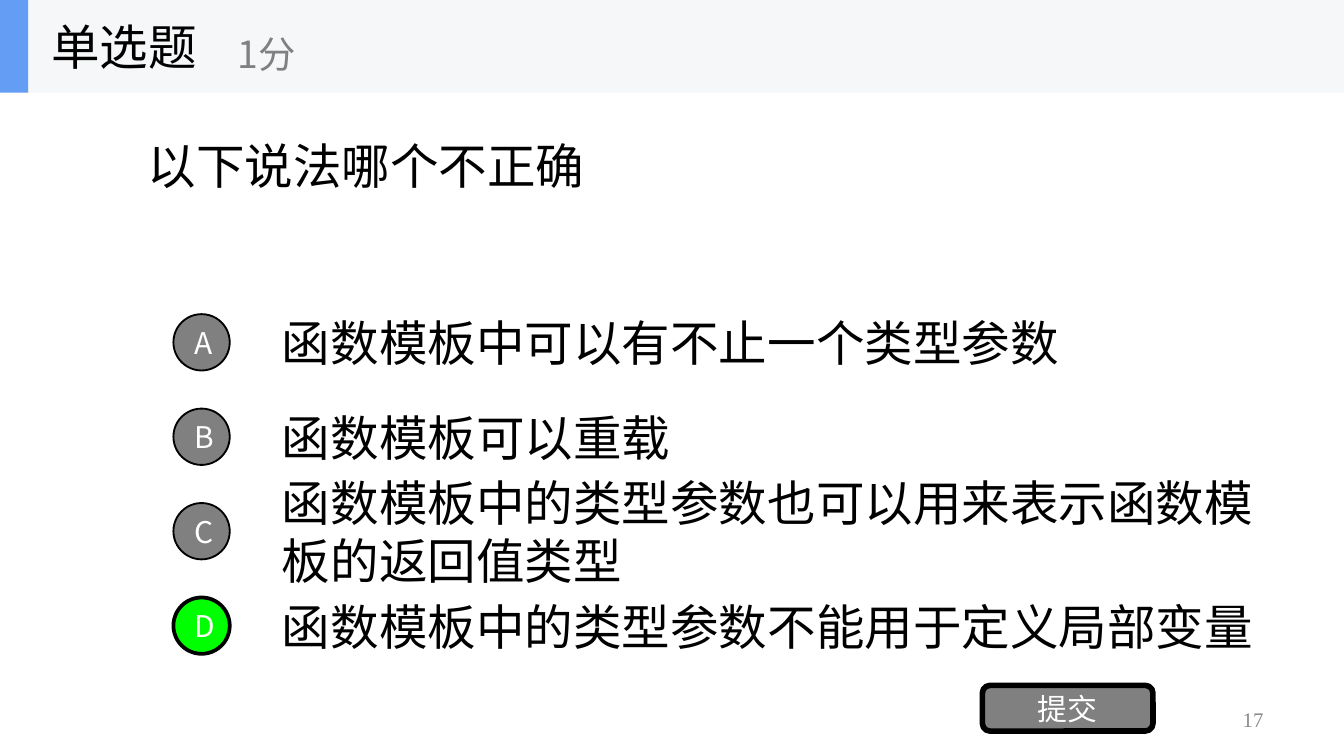
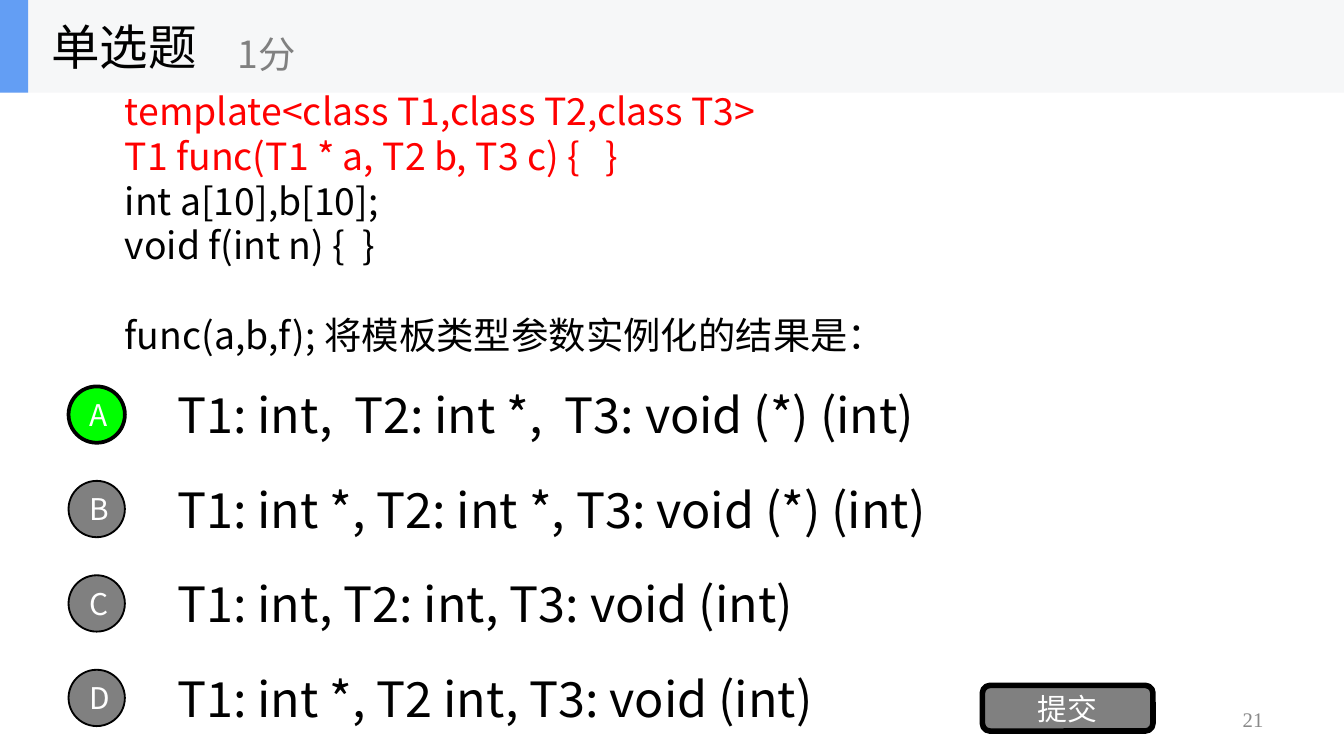
from lxml.etree import SubElement
from pptx import Presentation
from pptx.dml.color import RGBColor
from pptx.enum.shapes import MSO_SHAPE
from pptx.enum.text import MSO_ANCHOR, MSO_AUTO_SIZE, PP_ALIGN
from pptx.oxml.ns import qn
from pptx.util import Pt

BLACK, WHITE, GRAY, RED, GREEN = "000000", "FFFFFF", "808080", "FF0000", "00FF00"
BAND, ACCENT, NUMBER = "F6F7F8", "639EF4", "898989"
SANS, SERIF = "Noto Sans CJK SC", "Times New Roman"

QUESTIONS = [
    {
        "number": "17",
        "box": (72, 25.2, 576, 126.7),
        "size": 26,
        "lines": [("以下说法哪个不正确", BLACK, 0)],
        "bottom_inset": 3.6,
        "options": [
            ("函数模板中可以有不止一个类型参数", 504),
            ("函数模板可以重载", 504),
            ("函数模板中的类型参数也可以用来表示函数模板的返回值类型", 540),
            ("函数模板中的类型参数不能用于定义局部变量", 551),
        ],
        "options_at": (92.9, 164.3),
        "answer": "D",
    },
    {
        "number": "21",
        "box": (59.8, 79.9, 576, 126.7),
        "size": 20,
        "lines": [
            ("template<class T1,class T2,class T3>", RED, 0),
            ("T1 func(T1 * a, T2 b, T3 c) {   }", RED, 0),
            ("int a[10],b[10];", BLACK, 0),
            ("void f(int n) {  }", BLACK, 0),
            ("func(a,b,f); 将模板类型参数实例化的结果是：", BLACK, 24),
        ],
        "bottom_inset": 51.6,
        "options": [
            ("T1: int,  T2: int *,  T3: void (*) (int)", 504),
            ("T1: int *, T2: int *, T3: void (*) (int)", 504),
            ("T1: int, T2: int, T3: void (int)", 504),
            ("T1: int *, T2 int, T3: void (int)", 504),
        ],
        "options_at": (36.7, 203),
        "answer": "A",
    },
]
OPTION_PITCH, OPTION_H, OPTION_INDENT, CIRCLE = 50.6, 38.2, 51.1, 30.2
BAND_H = 49.7


def rgb(color):
    return RGBColor.from_string(color)


def set_attrs(target, values):
    for name, value in values.items():
        setattr(target, name, value)


def write(sp, lines, size, align=PP_ALIGN.LEFT, font=SANS, bottom=3.6, spacing=1.0):
    tf = sp.text_frame
    set_attrs(tf, {
        "word_wrap": True, "auto_size": MSO_AUTO_SIZE.NONE,
        "vertical_anchor": MSO_ANCHOR.MIDDLE,
        "margin_left": Pt(7.2), "margin_right": Pt(7.2),
        "margin_top": Pt(3.6), "margin_bottom": Pt(bottom),
    })
    for i, (text, color, before) in enumerate(lines):
        p = tf.add_paragraph() if i else tf.paragraphs[0]
        set_attrs(p, {"alignment": align, "line_spacing": spacing})
        if before:
            p.space_before = Pt(before)
        r = p.add_run()
        r.text = text
        set_attrs(r.font, {"name": font, "size": Pt(size)})
        r.font.color.rgb = rgb(color)
        SubElement(r.font._element, qn("a:ea"), typeface=font)


def add_text(s, box, lines, size, **fmt):
    sp = s.shapes.add_textbox(*map(Pt, box))
    write(sp, lines, size, **fmt)


def add_shape(s, kind, box, fill, line=0, text="", size=16):
    sp = s.shapes.add_shape(kind, *map(Pt, box))
    sp.shadow.inherit = False
    sp.fill.solid()
    sp.fill.fore_color.rgb = rgb(fill)
    if line:
        sp.line.color.rgb = rgb(BLACK)
        sp.line.width = Pt(line)
    else:
        sp.line.fill.background()
    if text:
        write(sp, [(text, WHITE, 0)], size, PP_ALIGN.CENTER)
    return sp


def add_header(s):
    title = s.shapes.title
    for width, color in ((720, BAND), (15.1, ACCENT)):
        sp = add_shape(s, MSO_SHAPE.RECTANGLE, (0, 0, width, BAND_H), color)
        title.element.addprevious(sp.element)
    set_attrs(title, {"left": Pt(20.2), "top": Pt(0), "width": Pt(149.8), "height": Pt(BAND_H)})
    write(title, [("单选题", BLACK, 0)], 26)
    add_text(s, (120.2, 8.6, 180, 40.3), [("1分", GRAY, 0)], 20)


def add_options(s, question):
    left, top = question["options_at"]
    for i, (letter, (text, width)) in enumerate(zip("ABCD", question["options"])):
        y = top + i * OPTION_PITCH
        add_text(s, (left + OPTION_INDENT, y, width, OPTION_H), [(text, BLACK, 0)], 26)
        fill, line = (GREEN, 2) if letter == question["answer"] else (GRAY, 1)
        circle = (left, y + (OPTION_H - CIRCLE) / 2, CIRCLE, CIRCLE)
        add_shape(s, MSO_SHAPE.OVAL, circle, fill, line, letter)


def add_footer(s, number):
    add_shape(s, MSO_SHAPE.ROUNDED_RECTANGLE, (526.3, 367.2, 91.4, 24.5), GRAY, 3, "提交")
    add_text(s, (516.2, 375.1, 167.8, 21.6), [(number, NUMBER, 0)], 11.1,
             align=PP_ALIGN.RIGHT, font=SERIF, spacing=0.9)


def main():
    prs = Presentation()
    set_attrs(prs, {"slide_width": Pt(720), "slide_height": Pt(405)})
    for question in QUESTIONS:
        s = prs.slides.add_slide(prs.slide_layouts[5])
        add_header(s)
        add_text(s, question["box"], question["lines"], question["size"],
                 bottom=question["bottom_inset"])
        add_options(s, question)
        add_footer(s, question["number"])
    prs.save("out.pptx")


if __name__ == "__main__":
    main()
